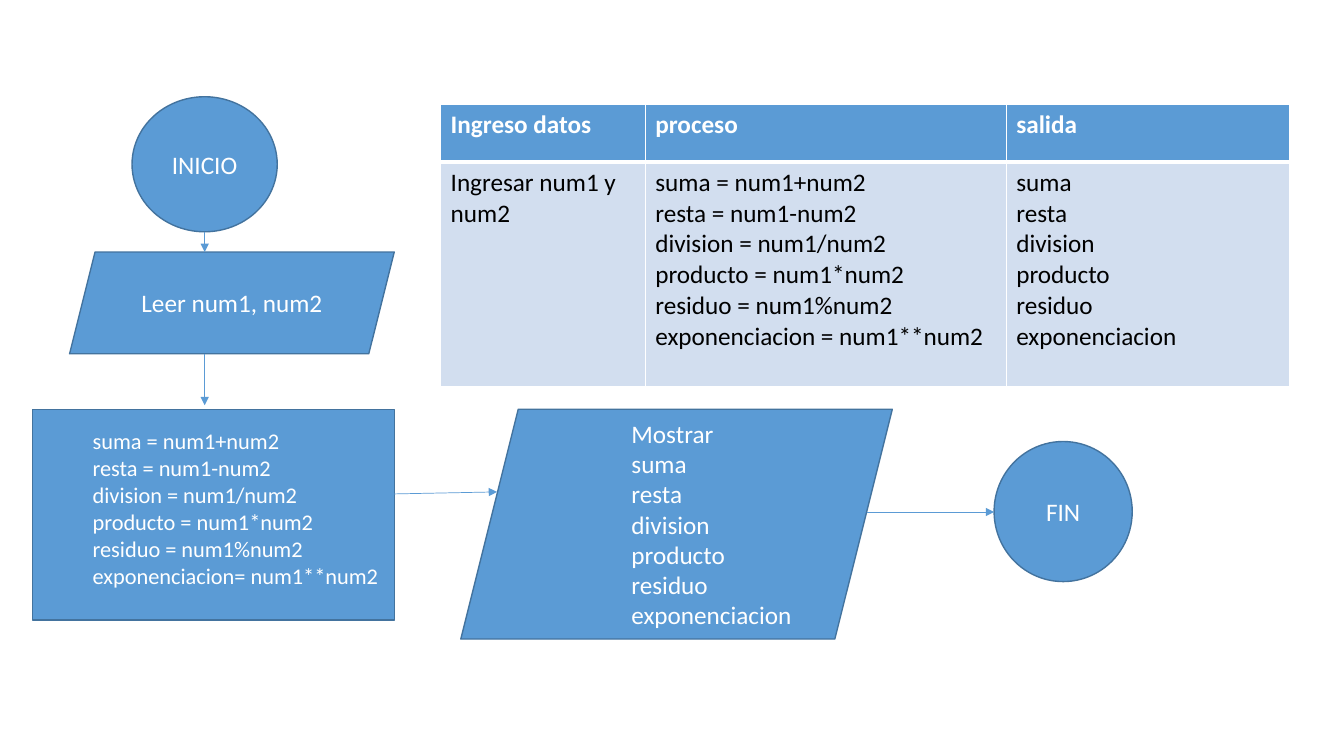
from dataclasses import dataclass
from typing import Any

import lxml.etree
import pptx
import pptx.dml.color
import pptx.enum.dml
import pptx.enum.shapes
import pptx.enum.text
import pptx.oxml
import pptx.oxml.ns
import pptx.util

Inches = pptx.util.Inches
Pt = pptx.util.Pt
Color = pptx.dml.color.RGBColor
Shape = pptx.enum.shapes.MSO_SHAPE
Align = pptx.enum.text.PP_ALIGN
qualified = pptx.oxml.ns.qn


@dataclass(frozen=True)
class Theme:
    font: str = "Calibri"
    blue: Color = Color(0x5B, 0x9B, 0xD5)
    outline: Color = Color(0x43, 0x73, 0x9E)
    pale: Color = Color(0xD2, 0xDE, 0xEF)
    white: Color = Color(0xFF, 0xFF, 0xFF)
    black: Color = Color(0, 0, 0)
    body_size: int = 18
    small_size: int = 16
    outline_width: float = 1
    arrow_width: float = 0.5
    border_width: float = 1
    header_border_width: float = 3


THEME = Theme()


@dataclass(frozen=True)
class Step:
    """One flowchart symbol; a positive indent sets its text left-aligned."""

    kind: Shape
    left: float
    top: float
    width: float
    height: float
    text: str
    size: int = THEME.body_size
    indent: float = 0
    bottom_margin: float = 0.05


@dataclass(frozen=True)
class Arrow:
    start_x: float
    start_y: float
    end_x: float
    end_y: float


RESULTS = ["suma", "resta", "division", "producto", "residuo", "exponenciacion"]
OPERATORS = ["+", "-", "/", "*", "%", "**"]
FORMULAS = [f"{name} = num1{sign}num2" for name, sign in zip(RESULTS, OPERATORS)]

STEPS = [
    Step(Shape.OVAL, 1.31, 0.96, 1.44, 1.34, "INICIO"),
    Step(Shape.OVAL, 9.86, 4.38, 1.37, 1.39, "FIN"),
    Step(Shape.PARALLELOGRAM, 0.69, 2.5, 3.22, 1.01, "Leer num1, num2"),
    Step(Shape.PARALLELOGRAM, 4.57, 4.06, 4.28, 2.28,
         "\n".join(["Mostrar", *RESULTS]), indent=1),
    Step(Shape.RECTANGLE, 0.32, 4.06, 3.59, 2.09,
         "\n".join(FORMULAS).replace("exponenciacion =", "exponenciacion="),
         size=THEME.small_size, indent=0.5, bottom_margin=0.18),
]

ARROWS = [
    Arrow(2.03, 2.3, 2.03, 2.5),
    Arrow(2.03, 3.51, 2.03, 4.02),
    Arrow(3.91, 4.9, 4.93, 4.88),
    Arrow(8.6, 5.08, 9.86, 5.08),
]

TABLE_ROWS = [
    ["Ingreso datos", "proceso", "salida"],
    ["Ingresar num1 y num2", "\n".join(FORMULAS), "\n".join(RESULTS)],
]
COLUMN_WIDTHS = [2.03, 3.58, 2.81]
ROW_HEIGHTS = [0.57, 2.23]


def format_text(text_frame: Any, size: int, color: Color, bold: bool = False) -> None:
    for paragraph in text_frame.paragraphs:
        for run in paragraph.runs:
            run.font.name = THEME.font
            run.font.size = Pt(size)
            run.font.color.rgb = color
            run.font.bold = bold


def add_step(slide: Any, step: Step) -> None:
    shape = slide.shapes.add_shape(
        step.kind, Inches(step.left), Inches(step.top),
        Inches(step.width), Inches(step.height))
    shape.shadow.inherit = False
    shape.fill.solid()
    shape.fill.fore_color.rgb = THEME.blue
    shape.line.color.rgb = THEME.outline
    shape.line.width = Pt(THEME.outline_width)
    text_frame = shape.text_frame
    text_frame.word_wrap = True
    text_frame.vertical_anchor = pptx.enum.text.MSO_ANCHOR.MIDDLE
    text_frame.margin_bottom = Inches(step.bottom_margin)
    text_frame.text = step.text
    for paragraph in text_frame.paragraphs:
        paragraph.alignment = Align.LEFT if step.indent else Align.CENTER
        paragraph._p.get_or_add_pPr().set("marL", str(Inches(step.indent)))
    format_text(text_frame, step.size, THEME.white)


def add_arrow(slide: Any, arrow: Arrow) -> None:
    connector = slide.shapes.add_connector(
        pptx.enum.shapes.MSO_CONNECTOR.STRAIGHT,
        Inches(arrow.start_x), Inches(arrow.start_y),
        Inches(arrow.end_x), Inches(arrow.end_y))
    connector.line.color.rgb = THEME.blue
    connector.line.width = Pt(THEME.arrow_width)
    line = connector.line._get_or_add_ln()
    lxml.etree.SubElement(line, qualified("a:tailEnd"), type="triangle")
    lxml.etree.SubElement(connector._element.spPr, qualified("a:effectLst"))


def set_borders(cell: Any, widths: dict[str, float]) -> None:
    """Draw white borders, given as widths in points by side, ahead of the fill."""
    properties = cell._tc.get_or_add_tcPr()
    for position, (side, width) in enumerate(widths.items()):
        border = pptx.oxml.parse_xml(
            f'<a:ln{side} {pptx.oxml.ns.nsdecls("a")} w="{Pt(width)}"><a:solidFill>'
            f'<a:srgbClr val="{THEME.white}"/></a:solidFill></a:ln{side}>')
        properties.insert(position, border)


def add_data_table(slide: Any) -> None:
    table = slide.shapes.add_table(
        len(ROW_HEIGHTS), len(COLUMN_WIDTHS), Inches(4.37), Inches(1.04),
        Inches(sum(COLUMN_WIDTHS)), Inches(sum(ROW_HEIGHTS))).table
    for column, width in zip(table.columns, COLUMN_WIDTHS):
        column.width = Inches(width)
    for row_index, (row, height) in enumerate(zip(table.rows, ROW_HEIGHTS)):
        row.height = Inches(height)
        is_header = row_index == 0
        thin, thick = THEME.border_width, THEME.header_border_width
        borders = {"L": thin, "R": thin,
                   "T": thin if is_header else thick,
                   "B": thick if is_header else thin}
        for cell, text in zip(row.cells, TABLE_ROWS[row_index]):
            cell.text_frame.text = text
            cell.fill.solid()
            cell.fill.fore_color.rgb = THEME.blue if is_header else THEME.pale
            set_borders(cell, borders)
            format_text(cell.text_frame, THEME.body_size,
                        THEME.white if is_header else THEME.black, is_header)


def main() -> None:
    presentation = pptx.Presentation()
    presentation.slide_width = Inches(13.33)
    presentation.slide_height = Inches(7.5)
    blank_layout = presentation.slide_layouts[6]
    slide = presentation.slides.add_slide(blank_layout)
    add_data_table(slide)
    for step in STEPS:
        add_step(slide, step)
    for arrow in ARROWS:
        add_arrow(slide, arrow)
    presentation.save("out.pptx")


if __name__ == "__main__":
    main()
